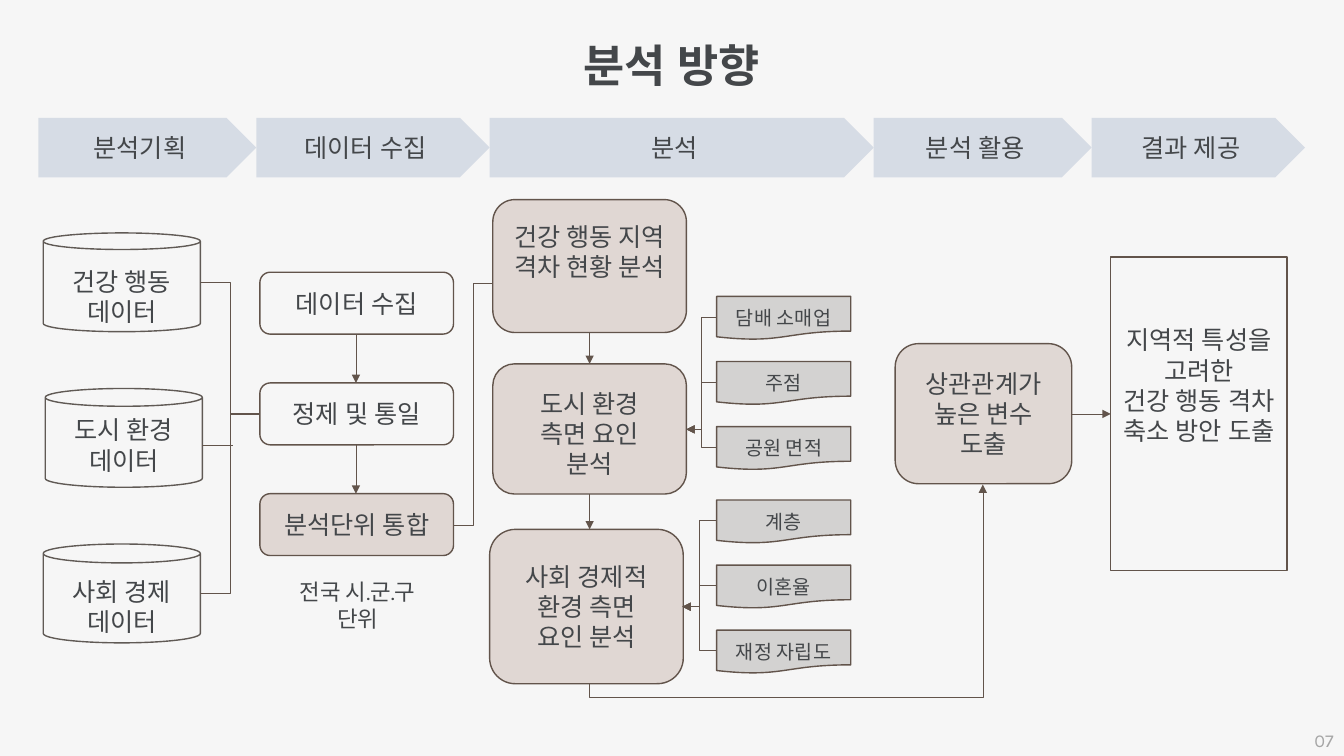
from lxml.etree import SubElement
from pptx import Presentation
from pptx.dml.color import RGBColor
from pptx.enum.shapes import MSO_CONNECTOR, MSO_SHAPE
from pptx.enum.text import MSO_ANCHOR, PP_ALIGN
from pptx.oxml.ns import qn
from pptx.util import Cm, Pt

# Content (lengths in cm)
TITLE = "분석 방향"
PAGE_NUMBER = "07"
STAGES = ["분석기획", "데이터 수집", "분석", "분석 활용", "결과 제공"]
STAGE_EDGES = [0.97, 6.46, 12.34, 22.02, 27.51, 32.89]
# Text, left, curve of the lid, space above the text
SOURCES = [
    ("건강 행동 데이터", 1.09, 0.168, 0.42),
    ("도시 환경 데이터", 1.14, 0.18, 0.21),
    ("사회 경제 데이터", 1.09, 0.191, 0.33),
]
COLLECTION_STEPS = ["데이터 수집", "정제 및 통일", "분석단위 통합"]
UNIT_NOTE = "전국 시.군.구 단위"
# Text, position and size, side inset, space above the text (None: centred)
ANALYSES = [
    ("건강 행동 지역 격차 현황 분석", (12.42, 5.03, 4.88, 3.35), 0.25, 0.38),
    ("도시 환경 측면 요인 분석", (12.42, 9.17, 4.88, 3.28), 0.42, 0.45),
    ("사회 경제적 환경 측면 요인 분석", (12.34, 13.34, 4.88, 3.89), 0.42, None),
]
# Top of the first factor, arrow target, factor names
FACTOR_GROUPS = [
    (7.47, (17.3, 10.82), ["담배 소매업", "주점", "공원 면적"]),
    (12.6, (17.2, 15.29), ["계층", "이혼율", "재정 자립도"]),
]
USE = "상관관계가 높은 변수 도출"
RESULT = ["지역적 특성을 고려한", "건강 행동 격차 축소 방안 도출"]

FONT, INK, BROWN, BEIGE = "Karla", "44474A", "62544B", "BFA9A0"


def color(value):
    return RGBColor.from_string(value)


def write(shape, text, size=18, ink=INK, bold=False, align=PP_ALIGN.CENTER,
          side=0.25, drop=None):
    """Write one or more paragraphs; drop anchors them below the top edge."""
    frame = shape.text_frame
    frame.word_wrap = True
    frame.margin_left = frame.margin_right = Cm(side)
    frame.margin_top = Cm(drop or 0)
    frame.margin_bottom = 0
    frame.vertical_anchor = MSO_ANCHOR.MIDDLE if drop is None else MSO_ANCHOR.TOP
    lines = [text] if isinstance(text, str) else text
    for index, line in enumerate(lines):
        paragraph = frame.paragraphs[0] if index == 0 else frame.add_paragraph()
        paragraph.alignment = align
        run = paragraph.add_run()
        run.text = line
        run.font.name, run.font.size, run.font.bold = FONT, Pt(size), bold
        run.font.color.rgb = color(ink)
        SubElement(run.font._element, qn("a:ea"), typeface=FONT)


def add_box(kind, box, text, fill=None, alpha=None, line=BROWN, adjust=None, **format):
    shape = slide.shapes.add_shape(kind, *map(Cm, box))
    shape.shadow.inherit = False
    if adjust is not None:
        shape.adjustments[0] = adjust
    if fill:
        shape.fill.solid()
        shape.fill.fore_color.rgb = color(fill)
    else:
        shape.fill.background()
    if alpha:
        fill_color = shape.fill._xPr.find(qn("a:solidFill"))[0]
        SubElement(fill_color, qn("a:alpha"), val=str(alpha * 1000))
    if line:
        shape.line.color.rgb = color(line)
        shape.line.width = Pt(1)
    else:
        shape.line.fill.background()
    write(shape, text, **format)


def add_text(box, text, **format):
    write(slide.shapes.add_textbox(*map(Cm, box)), text, **format)


def connect(start, end, elbow=False, arrow=False):
    kind = MSO_CONNECTOR.ELBOW if elbow else MSO_CONNECTOR.STRAIGHT
    connector = slide.shapes.add_connector(kind, *map(Cm, start + end))
    connector.line.color.rgb = color(BROWN)
    connector.line.width = Pt(0.5)
    if arrow:
        SubElement(connector.line._get_or_add_ln(), qn("a:tailEnd"), type="triangle")
    SubElement(connector._element.spPr, qn("a:effectLst"))
    return connector


def connect_from_below(start, end, dip):
    """Arrow that leaves downwards by dip, runs sideways and rises to its end."""
    middle_x, middle_y = (start[0] + end[0]) / 2, (start[1] + end[1]) / 2
    half_rise, half_run = (start[1] - end[1]) / 2, (end[0] - start[0]) / 2
    connector = connect((middle_x + half_rise, middle_y + half_run),
                        (middle_x - half_rise, middle_y - half_run),
                        elbow=True, arrow=True)
    properties = connector._element.spPr
    properties.find(qn("a:xfrm")).set("rot", str(90 * 60000))
    adjustments = properties.find(qn("a:prstGeom")).find(qn("a:avLst"))
    bend = round(-dip / (2 * half_rise) * 100000)
    SubElement(adjustments, qn("a:gd"), name="adj1", fmla=f"val {bend}")


# Slide and title
presentation = Presentation()
presentation.slide_width, presentation.slide_height = Cm(33.87), Cm(19.05)
slide = presentation.slides.add_slide(presentation.slide_layouts[5])
slide.background.fill.solid()
slide.background.fill.fore_color.rgb = color("F6F6F6")
title = slide.shapes.title
title.left, title.top, title.width, title.height = map(Cm, (1, 0.81, 31.87, 1.63))
write(title, TITLE, size=32, bold=True)

# Stage banner
for stage, left, right in zip(STAGES, STAGE_EDGES, STAGE_EDGES[1:]):
    add_box(MSO_SHAPE.PENTAGON, (left, 2.97, right - left, 1.5), stage,
            fill="D6DCE5", line=None)

# Data sources
for index, (text, left, curve, drop) in enumerate(SOURCES):
    top = 5.87 + index * 3.92
    add_box(MSO_SHAPE.CAN, (left, top, 3.96, 2.49), text, line="605A55",
            adjust=curve, drop=drop)
    middle = top + 1.24
    if index == 1:
        connect((5.1, middle + 0.2), (5.87, middle + 0.2))
    else:
        connect((5.05, middle), (6.55, 10.43), elbow=True)

# Collection steps
STEP_HEIGHT, STEP_PITCH = 1.56, 2.79
for index, text in enumerate(COLLECTION_STEPS):
    top = 6.86 + index * STEP_PITCH
    last = index == len(COLLECTION_STEPS) - 1
    add_box(MSO_SHAPE.ROUNDED_RECTANGLE, (6.55, top, 4.88, STEP_HEIGHT), text,
            fill=BEIGE if last else None, alpha=40 if last else None)
    if not last:
        connect((8.97, top + STEP_HEIGHT), (8.97, top + STEP_PITCH), arrow=True)
add_text((6.99, 14.45, 4.04, 1.63), UNIT_NOTE, size=16, drop=0.13)
connect((11.42, 13.23), (12.42, 7.14), elbow=True)

# Analyses
for text, box, side, drop in ANALYSES:
    add_box(MSO_SHAPE.ROUNDED_RECTANGLE, box, text, fill=BEIGE, alpha=40,
            side=side, drop=drop)
for (_, upper, _, _), (_, lower, _, _) in zip(ANALYSES, ANALYSES[1:]):
    connect((14.86, upper[1] + upper[3]), (14.86, lower[1]), arrow=True)

# Factors
for first_top, target, factors in FACTOR_GROUPS:
    for index, text in enumerate(factors):
        top = first_top + index * 1.64
        add_box(MSO_SHAPE.FLOWCHART_DOCUMENT, (18.06, top, 3.38, 1.09), text,
                fill="D3D2D1", size=14, drop=0.24)
        connect((18.06, top + 0.52), target, elbow=True, arrow=True)

# Use and result
add_box(MSO_SHAPE.ROUNDED_RECTANGLE, (22.56, 8.66, 4.45, 3.53), USE,
        fill="E0D8D4", side=0.3)
add_box(MSO_SHAPE.RECTANGLE, (27.99, 6.48, 4.45, 7.9), RESULT, drop=1.7)
connect_from_below((14.86, 17.23), (24.77, 12.21), dip=0.35)
connect((26.99, 10.43), (27.99, 10.43), arrow=True)

# Page number
add_text((31.98, 18.24, 1.88, 0.81), PAGE_NUMBER, size=13, ink="A6A6A6",
         align=PP_ALIGN.RIGHT)

presentation.save("out.pptx")
